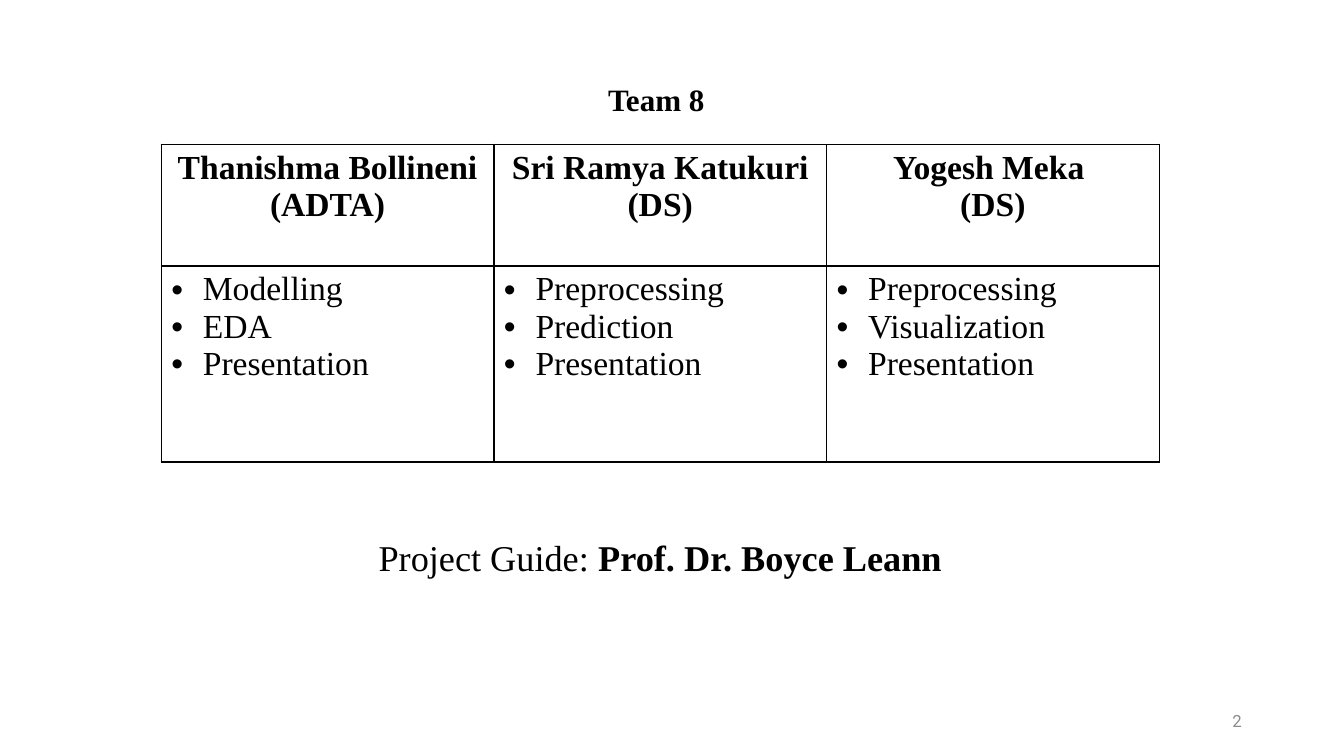
from lxml import etree
from pptx import Presentation
from pptx.dml.color import RGBColor as RGB
from pptx.enum.text import MSO_ANCHOR as Anchor, PP_ALIGN as Align
from pptx.oxml.ns import qn
from pptx.util import Pt

SERIF = "Times New Roman"
BLACK, GREY = "000000", "8C8C8C"
TEAM = [
    (["Thanishma Bollineni (ADTA)"], ["Modelling", "EDA", "Presentation"]),
    (["Sri Ramya Katukuri (DS)"],
     ["Preprocessing", "Prediction", "Presentation"]),
    (["Yogesh Meka ", "(DS)"],
     ["Preprocessing", "Visualization", "Presentation"]),
]
# left, top, width, height, alignment, size, font, colour, (words, bold) runs
LINES = [
    (67.7, 53, 807.8, 36, Align.CENTER, 22.2, SERIF, BLACK,
     [("Team 8 ", True)]),
    (67.7, 380, 807.8, 36, Align.CENTER, 25.9, SERIF, BLACK,
     [("Project Guide:\u00a0", False), ("Prof. Dr. Boyce Leann", True)]),
    (678.2, 500.4, 216, 28.8, Align.RIGHT, 12, "Roboto", GREY,
     [("2", False)]),
]
LEFT, TOP, COL = 115.2, 103, 237.6
ROWS = [87, 140]
INDENT = 22.5


def style(run, size, font, color, bold):
    run.font.size, run.font.name, run.font.bold = Pt(size), font, bold
    run.font.color.rgb = RGB.from_string(color)


def bullet(para):
    props = para._p.get_or_add_pPr()
    props.set("marL", str(Pt(INDENT)))
    props.set("indent", str(-Pt(INDENT)))
    etree.SubElement(props, qn("a:buFont")).set("typeface", "Arial")
    etree.SubElement(props, qn("a:buChar")).set("char", "•")


def border(cell):
    props = cell._tc.get_or_add_tcPr()
    for side in ("lnL", "lnR", "lnT", "lnB"):
        line = etree.SubElement(props, qn("a:" + side), w=str(Pt(1)))
        fill = etree.SubElement(line, qn("a:solidFill"))
        etree.SubElement(fill, qn("a:srgbClr"), val=BLACK)


def fill_cell(cell, items, head):
    border(cell)
    cell.fill.background()
    cell.text_frame.text = "\n".join(items)
    for para in cell.text_frame.paragraphs:
        if head:
            para.alignment = Align.CENTER
        else:
            bullet(para)
        style(para.runs[0], 24, SERIF, BLACK, head)


deck = Presentation()
deck.slide_width, deck.slide_height = Pt(960), Pt(540)
slide = deck.slides.add_slide(deck.slide_layouts[6])

for left, top, width, height, align, size, font, color, runs in LINES:
    box = slide.shapes.add_textbox(Pt(left), Pt(top), Pt(width), Pt(height))
    frame = box.text_frame
    frame.word_wrap = True
    frame.vertical_anchor = Anchor.MIDDLE
    para = frame.paragraphs[0]
    para.alignment = align
    for words, bold in runs:
        run = para.add_run()
        run.text = words
        style(run, size, font, color, bold)

table = slide.shapes.add_table(
    len(ROWS), len(TEAM), Pt(LEFT), Pt(TOP),
    Pt(COL * len(TEAM)), Pt(sum(ROWS))).table
table.first_row = table.horz_banding = False
for row, height in zip(table.rows, ROWS):
    row.height = Pt(height)
for c, (name, tasks) in enumerate(TEAM):
    table.columns[c].width = Pt(COL)
    fill_cell(table.cell(0, c), name, True)
    fill_cell(table.cell(1, c), tasks, False)

deck.save("out.pptx")
